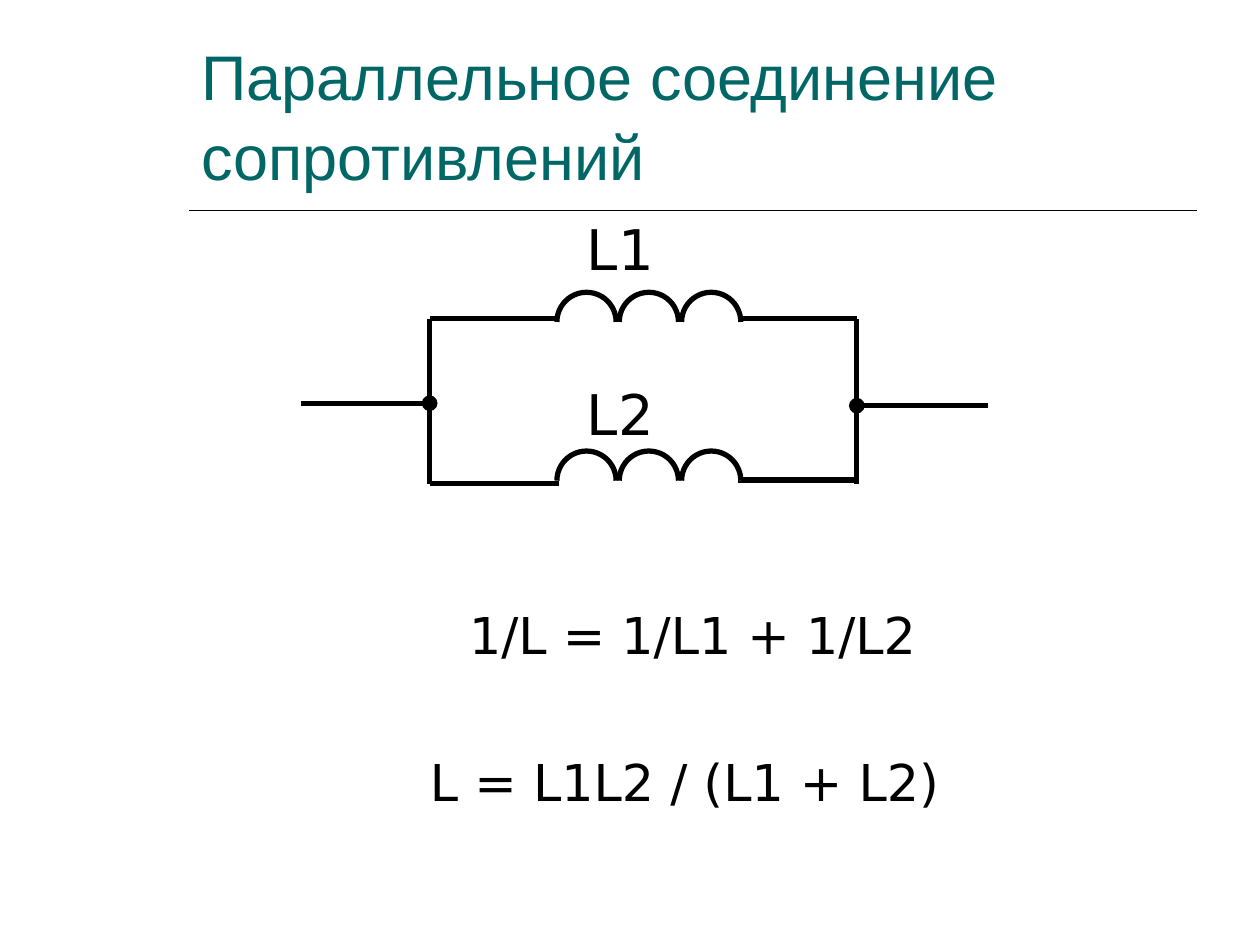
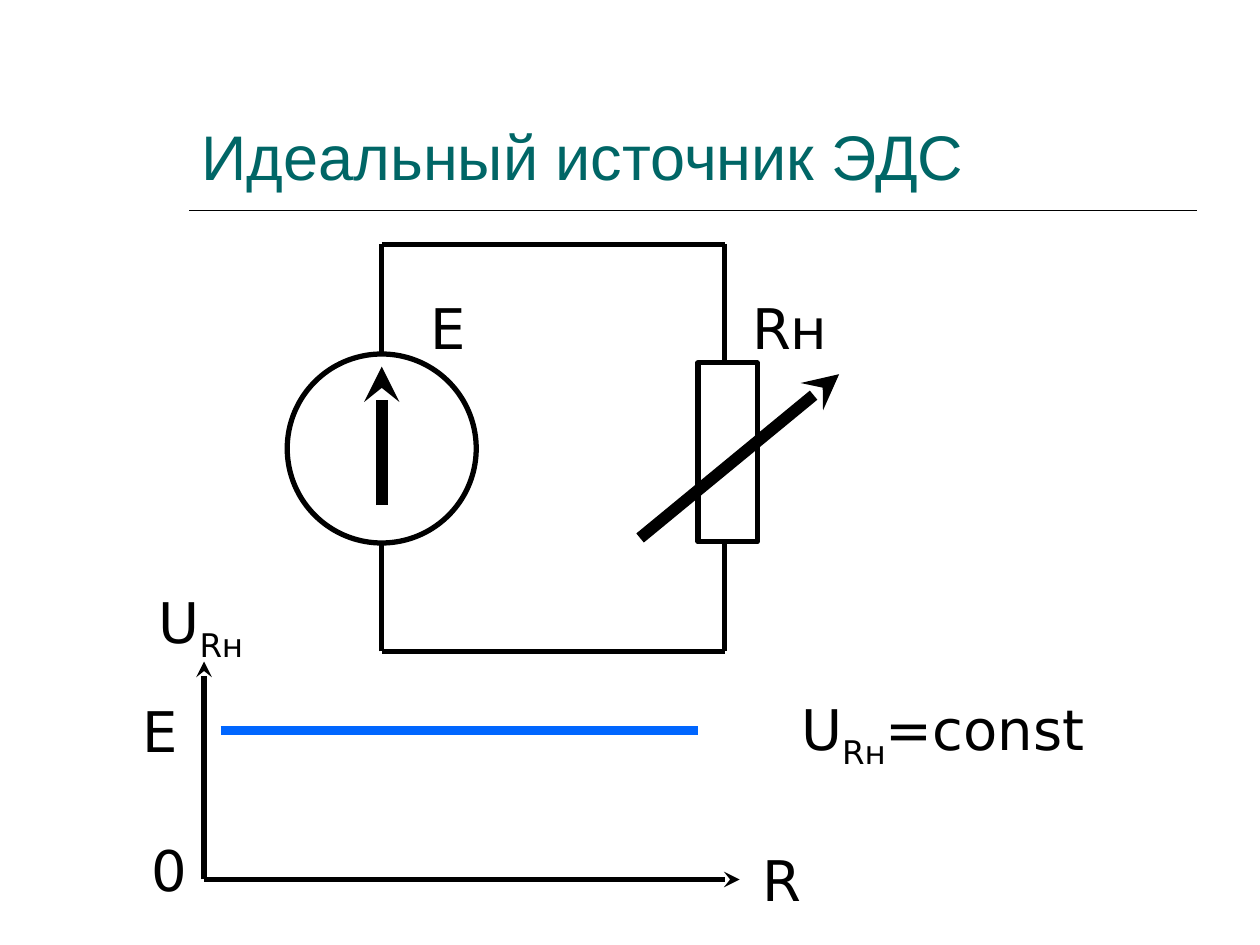
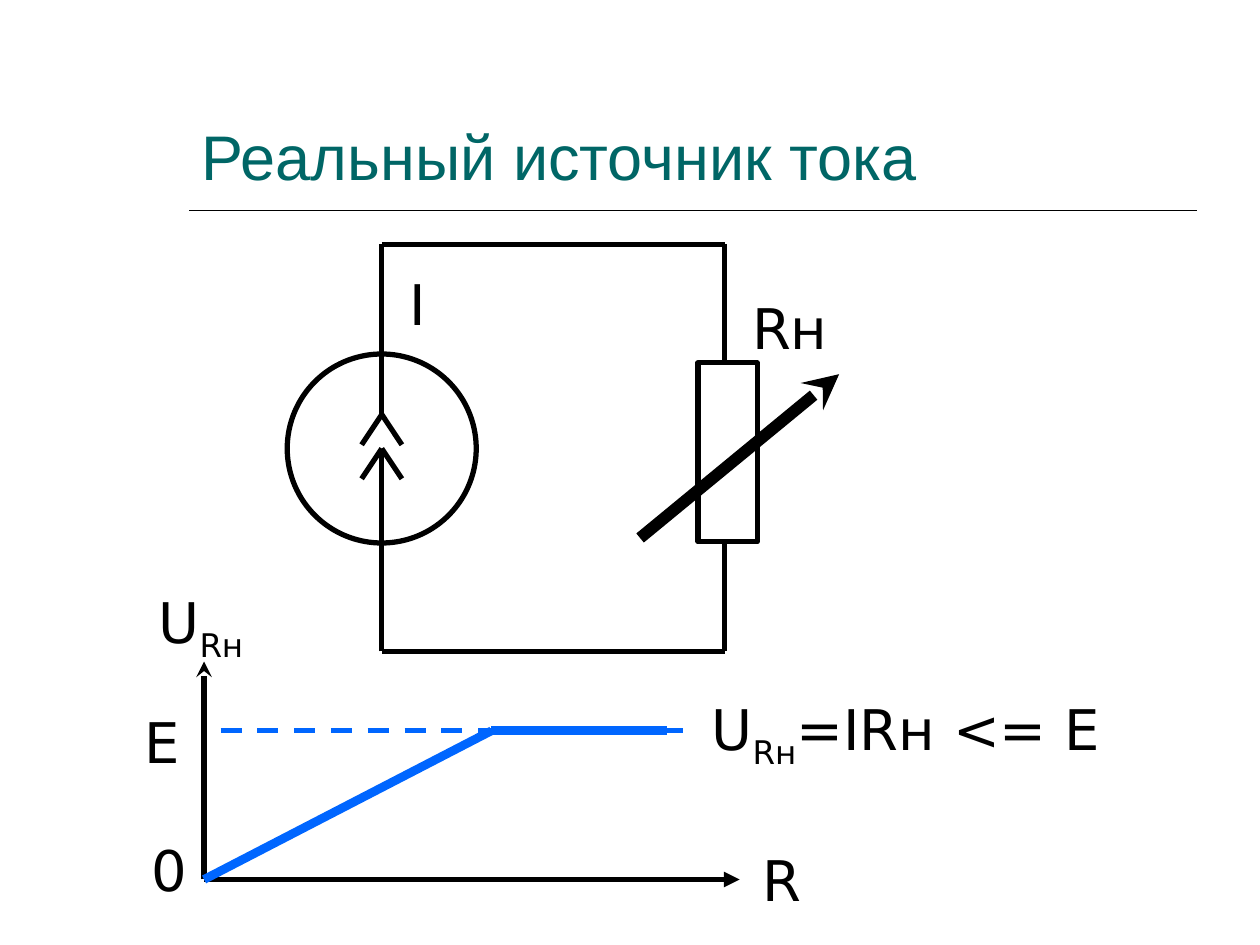
from dataclasses import dataclass

import pptx
import pptx.dml.color
import pptx.enum.dml
import pptx.enum.shapes
import pptx.enum.text
import pptx.oxml.ns
import pptx.oxml.xmlchemy
import pptx.util

Inches = pptx.util.Inches
Pt = pptx.util.Pt
RGB = pptx.dml.color.RGBColor
MSO_SHAPE = pptx.enum.shapes.MSO_SHAPE
ALIGN = pptx.enum.text.PP_ALIGN
OxmlElement = pptx.oxml.xmlchemy.OxmlElement
qn = pptx.oxml.ns.qn


@dataclass(frozen=True)
class Theme:
    ink: RGB = RGB(0, 0, 0)
    paper: RGB = RGB(255, 255, 255)
    teal: RGB = RGB(0x00, 0x66, 0x66)
    blue: RGB = RGB(0x00, 0x66, 0xFF)
    title_font: str = "Arial"
    body_font: str = "DejaVu Sans"
    title_size: float = 36
    label_size: float = 32
    formula_size: float = 29
    rule: float = 1
    wire: float = 3
    curve: float = 5
    arrow: float = 6.75


T = Theme()

# Corners of the source and load circuit, and the origin of the graph
LEFT, RIGHT, TOP, BOTTOM = 3.03, 5.75, 1.94, 5.17
SOURCE_TOP, SOURCE_SIZE = 2.81, 1.5
LOAD_TOP, LOAD_HEIGHT = 2.88, 1.42
ORIGIN_X, ORIGIN_Y = 1.62, 6.98
E_LEVEL = 5.8


def style_font(font, name, size, color):
    font.name = name
    font.size = Pt(size)
    font.color.rgb = color


def add_line(s, start, end, width=T.wire, color=T.ink, tail=None, dashed=False):
    """Draw a straight line; tail names the line ending at its end point."""
    cx = s.shapes.add_connector(
        pptx.enum.shapes.MSO_CONNECTOR.STRAIGHT,
        *(Inches(v) for v in (*start, *end)))
    cx.line.width = Pt(width)
    cx.line.color.rgb = color
    if dashed:
        cx.line.dash_style = pptx.enum.dml.MSO_LINE.DASH
    spPr = cx._element.spPr
    if tail:
        end_mark = OxmlElement("a:tailEnd")
        end_mark.set("type", tail)
        spPr.find(qn("a:ln")).append(end_mark)
    spPr.append(OxmlElement("a:effectLst"))


def add_outlined(s, kind, left, top, width, height):
    sp = s.shapes.add_shape(
        kind, Inches(left), Inches(top), Inches(width), Inches(height))
    sp.shadow.inherit = False
    sp.fill.solid()
    sp.fill.fore_color.rgb = T.paper
    sp.line.color.rgb = T.ink
    sp.line.width = Pt(T.wire)
    return sp


def add_text_frame(s, left, top, width, height):
    box = s.shapes.add_textbox(
        Inches(left), Inches(top), Inches(width), Inches(height))
    tf = box.text_frame
    tf.word_wrap = True
    return tf


def add_label(s, text, left, top, width=1.18, height=0.64):
    """Add a label; text between underscores is set as a subscript."""
    p = add_text_frame(s, left, top, width, height).paragraphs[0]
    for i, part in enumerate(text.split("_")):
        if part:
            r = p.add_run()
            r.text = part
            style_font(r.font, T.body_font, T.label_size, T.ink)
            if i % 2:
                r._r.get_or_add_rPr().set("baseline", "-25000")


def add_formulas(s, formulas, left, top, width, height, gap):
    tf = add_text_frame(s, left, top, width, height)
    for i, formula in enumerate(formulas):
        p = tf.add_paragraph() if i else tf.paragraphs[0]
        p.text = formula
        p.alignment = ALIGN.CENTER
        p.space_before = Pt(gap if i else 0)
        style_font(p.runs[0].font, T.body_font, T.formula_size, T.ink)


def add_titled_slide(prs, title):
    s = prs.slides.add_slide(prs.slide_layouts[5])
    sp = s.shapes.title
    sp.left, sp.top = Inches(1.5), Inches(0.33)
    sp.width, sp.height = Inches(8), Inches(1.25)
    tf = sp.text_frame
    tf.text = title
    tf.word_wrap = True
    tf.vertical_anchor = pptx.enum.text.MSO_ANCHOR.BOTTOM
    p = tf.paragraphs[0]
    p.alignment = ALIGN.LEFT
    p.line_spacing = 1.05
    style_font(p.runs[0].font, T.title_font, T.title_size, T.teal)
    add_line(s, (1.5, 1.67), (9.5, 1.67), T.rule)
    return s


def add_coil(s, left, top, turns=3, size=0.47, pitch=0.495):
    """Draw an inductor as a row of upper half circles."""
    for i in range(turns):
        arc = add_outlined(s, MSO_SHAPE.ARC, left + i * pitch, top, size, size)
        arc.adjustments[0] = 108  # 180 degrees
        arc.adjustments[1] = 0


def add_load_circuit(s):
    """Draw the outer wires and the variable load resistor."""
    for y in (TOP, BOTTOM):
        add_line(s, (LEFT, y), (RIGHT, y))
    add_line(s, (RIGHT, LOAD_TOP), (RIGHT, TOP))
    add_line(s, (RIGHT, BOTTOM), (RIGHT, LOAD_TOP + LOAD_HEIGHT))
    add_outlined(s, MSO_SHAPE.RECTANGLE, 5.54, LOAD_TOP, 0.47, LOAD_HEIGHT)
    add_line(s, (5.08, 4.27), (6.66, 2.97), T.arrow, tail="stealth")
    add_label(s, "Rн", 5.87, 2.28)


def add_source_circle(s):
    add_outlined(s, MSO_SHAPE.OVAL, LEFT - SOURCE_SIZE / 2, SOURCE_TOP,
                 SOURCE_SIZE, SOURCE_SIZE)


def add_axes(s, x_tail="stealth"):
    origin = (ORIGIN_X, ORIGIN_Y)
    add_line(s, origin, (5.87, ORIGIN_Y), tail=x_tail)
    add_line(s, origin, (ORIGIN_X, 5.25), tail="stealth")
    add_label(s, "U_Rн_", 1.16, 4.61, height=0.71)
    add_label(s, "R", 5.95, 6.66)
    add_label(s, "0", 1.1, 6.58)


def build_parallel_slide(prs):
    s = add_titled_slide(prs, "Параллельное соединение сопротивлений")
    add_formulas(s, ["1/L = 1/L1 + 1/L2", "L = L1L2 / (L1 + L2) "],
                 1.5, 4.74, 8, 1.8, gap=49.5)
    left, right, top, bottom, right_bottom = 3.41, 6.8, 2.53, 3.84, 3.81
    for name, y in (("L1", 1.65), ("L2", 2.96)):
        add_label(s, name, 4.56, y)
    for y in (top, bottom):
        add_line(s, (left, y), (4.44, y))
    for y in (top, right_bottom):
        add_line(s, (5.86, y), (right, y))
    for x in (left, right):
        add_line(s, (x, bottom), (x, top))
    add_line(s, (2.39, 3.2), (left, 3.2), tail="oval")
    add_line(s, (7.84, 3.22), (right, 3.22), tail="oval")
    for y in (2.32, 3.58):
        add_coil(s, 4.42, y)


def build_emf_slide(prs):
    s = add_titled_slide(prs, "Идеальный источник ЭДС")
    add_load_circuit(s)
    add_source_circle(s)
    add_line(s, (LEFT, 4.01), (LEFT, 2.91), T.arrow, tail="stealth")
    add_line(s, (LEFT, SOURCE_TOP), (LEFT, TOP))
    add_line(s, (LEFT, BOTTOM), (LEFT, SOURCE_TOP + SOURCE_SIZE))
    add_label(s, "E", 3.32, 2.28)
    add_axes(s)
    add_line(s, (1.75, E_LEVEL), (5.54, E_LEVEL), T.curve, T.blue)
    add_label(s, "E", 1.03, 5.48)
    add_label(s, "U_Rн_=const", 6.26, 5.46, 3.1, 0.71)


def build_current_slide(prs):
    s = add_titled_slide(prs, "Реальный источник тока")
    add_load_circuit(s)
    add_source_circle(s)
    upper_tip, lower_tip = 3.29, 3.56
    add_line(s, (LEFT, upper_tip), (LEFT, TOP))
    add_line(s, (LEFT, BOTTOM), (LEFT, lower_tip))
    for tip in (upper_tip, lower_tip):
        for dx in (-0.16, 0.16):
            add_line(s, (LEFT + dx, tip + 0.24), (LEFT, tip))
    add_label(s, "I", 3.15, 2.09)
    add_axes(s, x_tail="triangle")
    add_line(s, (1.75, E_LEVEL), (5.54, E_LEVEL), color=T.blue, dashed=True)
    knee = (3.9, E_LEVEL)
    add_line(s, (ORIGIN_X, ORIGIN_Y), knee, T.curve, T.blue)
    add_line(s, knee, (5.29, E_LEVEL), T.curve, T.blue)
    add_label(s, "E", 1.05, 5.57)
    add_label(s, "U_Rн_=IRн <= E", 5.55, 5.46, 3.78, 0.71)


def main():
    prs = pptx.Presentation()
    prs.slide_width, prs.slide_height = Inches(10), Inches(7.5)
    build_parallel_slide(prs)
    build_emf_slide(prs)
    build_current_slide(prs)
    prs.save("out.pptx")


if __name__ == "__main__":
    main()
